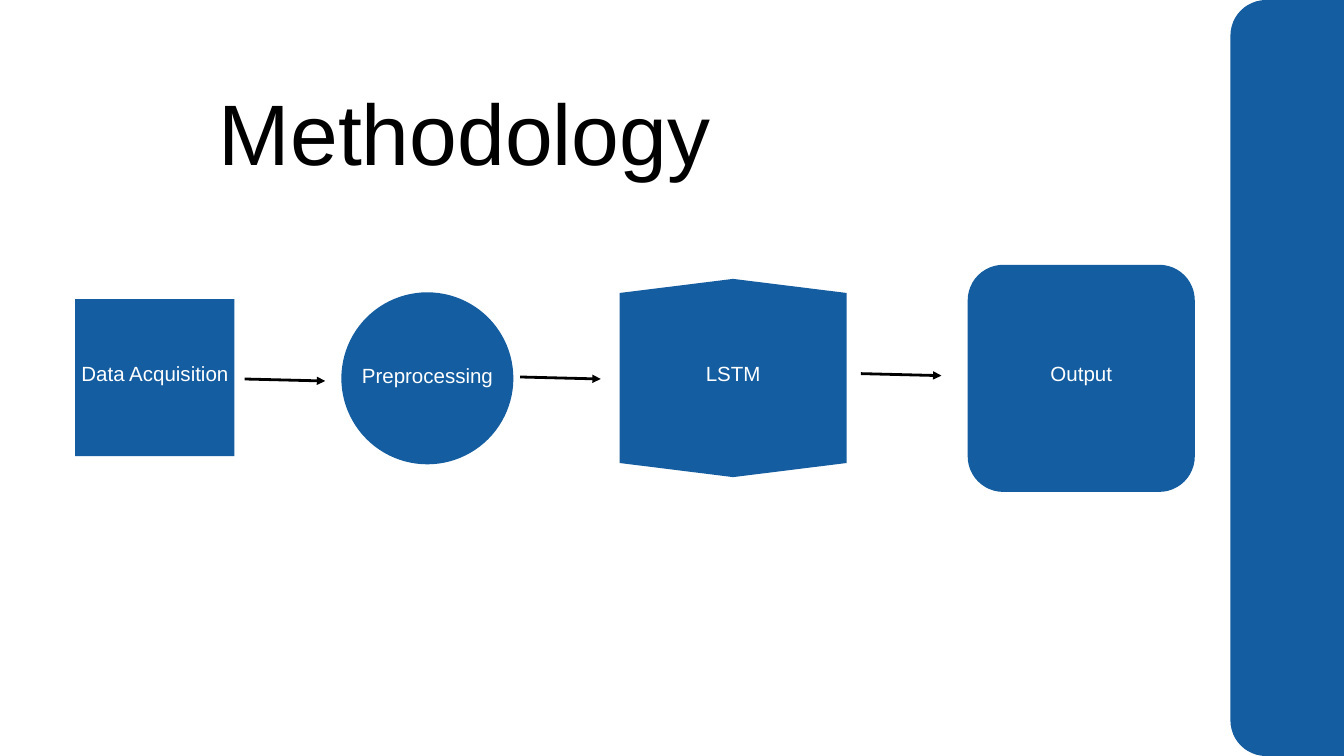
from pptx import Presentation
from pptx.dml.color import RGBColor
from pptx.enum.shapes import MSO_CONNECTOR as Link, MSO_SHAPE as Kind
from pptx.enum.text import MSO_ANCHOR as Anchor, MSO_AUTO_SIZE as Fit, PP_ALIGN as Align
from pptx.oxml.ns import qn
from pptx.util import Inches, Pt
from lxml.etree import SubElement

HUES = {"blue": "145DA0", "white": "FFFFFF", "black": "000000"}
SIDES = ("left", "top", "width", "height")
ROUND = 0.53 / 3.38

STEPS = [
    ("Data Acquisition", Kind.RECTANGLE, (1.12, 4.45, 2.37, 2.34), (1.12, 4.26, 2.37, 2.54)),
    ("Preprocessing", Kind.OVAL, (5.08, 4.35, 2.56, 2.56), (5.32, 4.44, 2.08, 2.23)),
    ("LSTM", None, (9.22, 4.15, 3.38, 2.95), (9.22, 4.06, 3.38, 2.94)),
    ("Output", Kind.ROUNDED_RECTANGLE, (14.4, 3.94, 3.38, 3.38), (14.4, 3.74, 3.38, 3.57)),
]
ARROWS = [(3.64, 5.64), (7.74, 5.61), (12.81, 5.56)]


def hue(name):
    return RGBColor.from_string(HUES[name])


def assign(item, values):
    for name, value in values.items():
        setattr(item, name, value)


def write(frame, text, size, color, pad, anchor, fit):
    sides = ("margin_left", "margin_top", "margin_right", "margin_bottom")
    assign(frame, dict.fromkeys(sides, Inches(pad)))
    assign(frame, {"word_wrap": True, "vertical_anchor": anchor, "auto_size": fit})
    para = frame.paragraphs[0]
    assign(para, {"alignment": Align.CENTER, "line_spacing": Pt(size * 1.4)})
    run = para.add_run()
    run.text = text
    assign(run.font, {"name": "Arial", "size": Pt(size)})
    run.font.color.rgb = hue(color)


def paint(shape):
    shape.shadow.inherit = False
    shape.fill.solid()
    shape.fill.fore_color.rgb = hue("blue")
    shape.line.fill.background()


def add_form(slide, kind, box):
    shape = slide.shapes.add_shape(kind, *map(Inches, box))
    if kind == Kind.ROUNDED_RECTANGLE:
        shape.adjustments[0] = ROUND * box[2] / min(box[2:])
    paint(shape)


def add_prism(slide, box, rise=0.21):
    left, top, width, height = box
    mid, right, low = left + width / 2, left + width, top + height
    points = [(left, top + rise), (mid, top), (right, top + rise),
              (right, low - rise), (mid, low), (left, low - rise)]
    points = [(Inches(x), Inches(y)) for x, y in points]
    pen = slide.shapes.build_freeform(*points[0], scale=1.0)
    pen.add_line_segments(points[1:], close=True)
    paint(pen.convert_to_shape())


def add_label(slide, text, box):
    frame = slide.shapes.add_textbox(*map(Inches, box)).text_frame
    write(frame, text, 22, "white", 0.06, Anchor.MIDDLE, Fit.NONE)


def add_arrow(slide, x, y):
    ends = map(Inches, (x, y, x + 1.2, y + 0.03))
    arrow = slide.shapes.add_connector(Link.STRAIGHT, *ends)
    arrow.line.width = Pt(3)
    arrow.line.color.rgb = hue("black")
    SubElement(arrow.line._get_or_add_ln(), qn("a:tailEnd"), type="triangle")
    SubElement(arrow._element.spPr, qn("a:effectLst"))


def set_title(slide, text, box):
    title = slide.shapes.title
    assign(title, dict(zip(SIDES, map(Inches, box))))
    write(title.text_frame, text, 92, "black", 0, Anchor.TOP, Fit.SHAPE_TO_FIT_TEXT)


def main():
    deck = Presentation()
    assign(deck, {"slide_width": Inches(20), "slide_height": Inches(11.25)})
    slide = deck.slides.add_slide(deck.slide_layouts[5])
    add_form(slide, Kind.ROUNDED_RECTANGLE, (18.31, 0, 3.38, 11.25))
    for text, kind, box, area in STEPS:
        if kind is None:
            add_prism(slide, box)
        else:
            add_form(slide, kind, box)
        add_label(slide, text, area)
    set_title(slide, "Methodology", (1.12, 0.93, 11.59, 1.72))
    for x, y in ARROWS:
        add_arrow(slide, x, y)
    deck.save("out.pptx")


if __name__ == "__main__":
    main()
